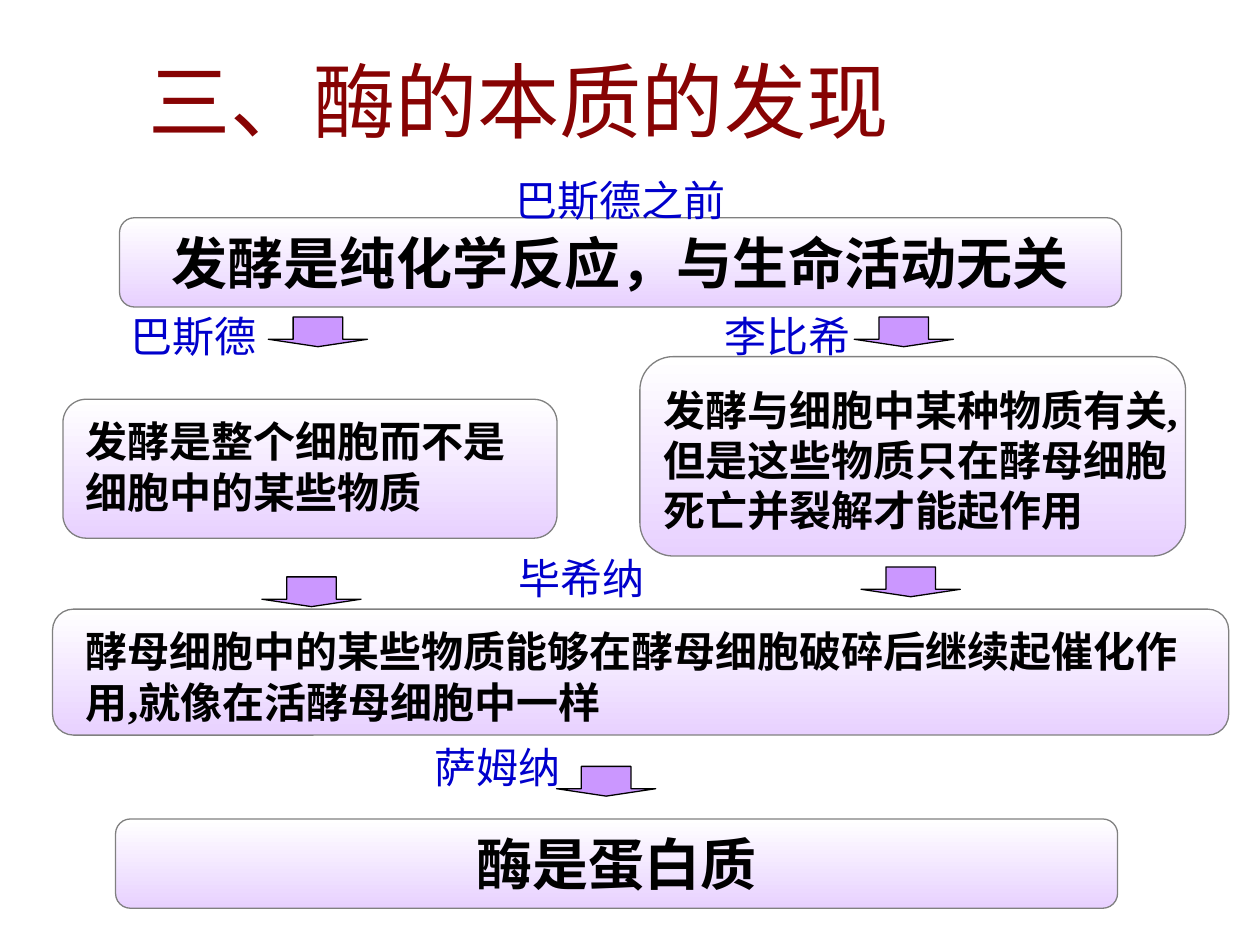
from pptx import Presentation
from pptx.dml.color import RGBColor
from pptx.enum import shapes, text
from pptx.util import Cm, Pt

TITLE = "三、酶的本质的发现"
# left, top, width, height in cm; centred text held by the box itself
BOXES = [
    (2.41, 4.39, 20.2, 1.8, "发酵是纯化学反应，与生命活动无关"),
    (1.27, 8.05, 9.96, 2.8, ""),
    (12.9, 7.19, 11, 4.02, ""),
    (1.06, 12.28, 23.71, 2.54, ""),
    (2.33, 16.51, 20.2, 1.8, "酶是蛋白质"),
]
# left, top in cm
ARROWS = [(5.41, 6.39), (17.22, 6.39), (5.28, 11.63), (17.36, 11.43), (11.22, 15.45)]
# left, top, width in cm
NAMES = [
    (7.21, 3.39, 10.58, "巴斯德之前"),
    (0, 6.14, 7.8, "巴斯德"),
    (10.58, 6.14, 10.58, "李比希"),
    (7.82, 11.01, 7.8, "毕希纳"),
    (6.14, 14.82, 7.8, "萨姆纳"),
]
# left, top, width, height in cm
VIEWS = [
    (13.12, 7.62, 11, 3.3,
     "发酵与细胞中某种物质有关,但是这些物质只在酵母细胞死亡并裂解才能起作用"),
    (1.48, 8.26, 9.31, 2.28, "发酵是整个细胞而不是细胞中的某些物质"),
    (1.48, 12.49, 22.86, 2.28,
     "酵母细胞中的某些物质能够在酵母细胞破碎后继续起催化作用,就像在活酵母细胞中一样"),
]


def rgb(code):
    return RGBColor.from_string(code)


def write(shape, words, size=24, font="Arial", color="000000", bold=False,
          align=text.PP_ALIGN.LEFT, anchor=text.MSO_ANCHOR.TOP, wrap=True):
    frame = shape.text_frame
    frame.word_wrap = wrap
    frame.vertical_anchor = anchor
    para = frame.paragraphs[0]
    para.alignment = align
    run = para.add_run()
    run.text = words
    run.font.size = Pt(size)
    run.font.name = font
    run.font.bold = bold
    run.font.color.rgb = rgb(color)


def draw(slide, kind, area, line):
    shape = slide.shapes.add_shape(kind, *map(Cm, area))
    shape.shadow.inherit = False
    shape.line.color.rgb = rgb(line)
    shape.line.width = Pt(0.75)
    return shape


def shade(shape):
    """Fade from white at the top to lilac at the bottom."""
    shape.fill.gradient()
    shape.fill.gradient_angle = 270
    for stop, place, code in zip(shape.fill.gradient_stops, (0, 1), ("FFFFFF", "E8D1FF")):
        stop.position = place
        stop.color.rgb = rgb(code)


def main():
    deck = Presentation()
    deck.slide_width, deck.slide_height = Cm(25.4), Cm(19.05)
    slide = deck.slides.add_slide(deck.slide_layouts[5])
    mid, centre = text.MSO_ANCHOR.MIDDLE, text.PP_ALIGN.CENTER

    title = slide.shapes.title
    title.left, title.top, title.width, title.height = map(Cm, (2.74, 0.84, 22.23, 2.34))
    write(title, TITLE, size=47, font="Lato", color="870303", anchor=mid)

    for *area, words in BOXES:
        box = draw(slide, shapes.MSO_SHAPE.FLOWCHART_ALTERNATE_PROCESS, area, "808080")
        shade(box)
        if words:
            write(box, words, size=32, bold=True, align=centre, anchor=mid, wrap=False)

    for left, top in ARROWS:
        arrow = draw(slide, shapes.MSO_SHAPE.DOWN_ARROW, (left, top, 2, 0.6), "000000")
        arrow.adjustments[0], arrow.adjustments[1] = 0.5, 0.25
        arrow.fill.solid()
        arrow.fill.fore_color.rgb = rgb("CB97FF")

    for left, top, width, words in NAMES:
        label = slide.shapes.add_textbox(*map(Cm, (left, top, width, 1.27)))
        write(label, words, color="0000CC", align=centre)

    for *area, words in VIEWS:
        view = slide.shapes.add_textbox(*map(Cm, area))
        write(view, words, font="Times New Roman", bold=True)

    deck.save("out.pptx")


if __name__ == "__main__":
    main()
